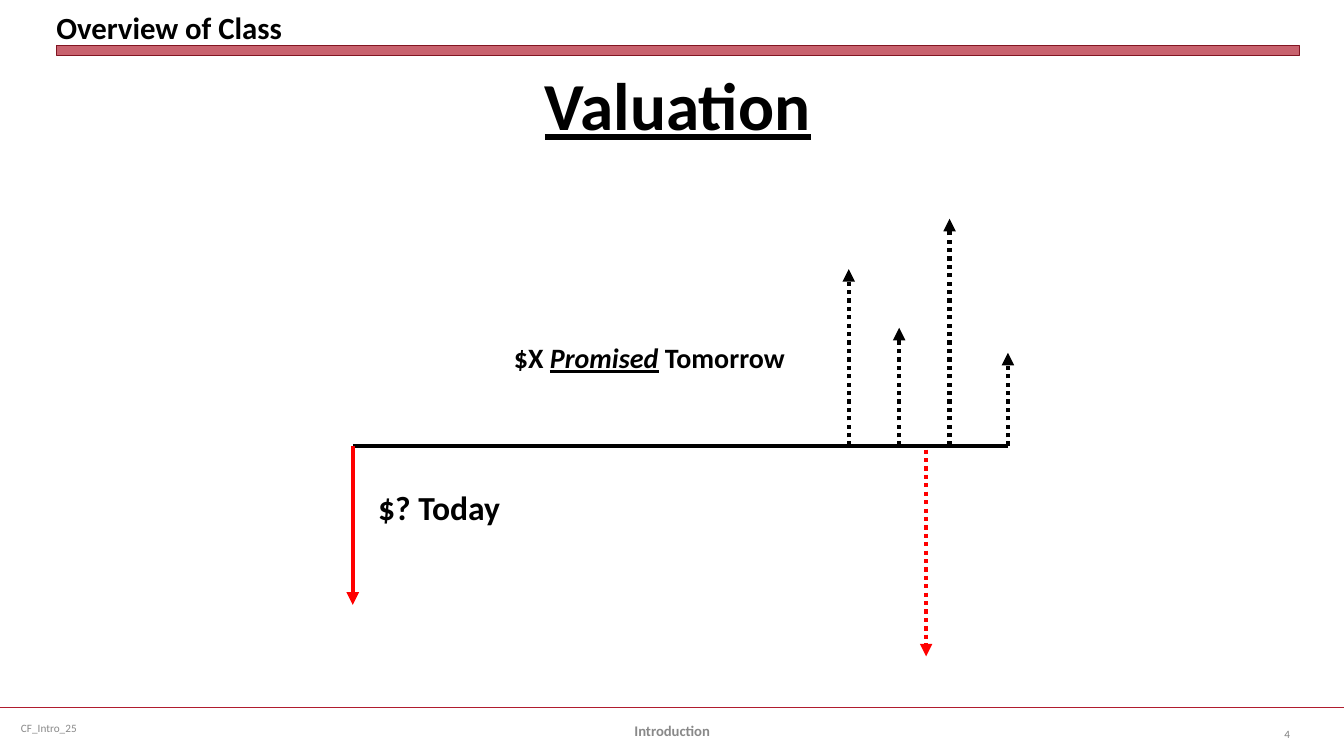
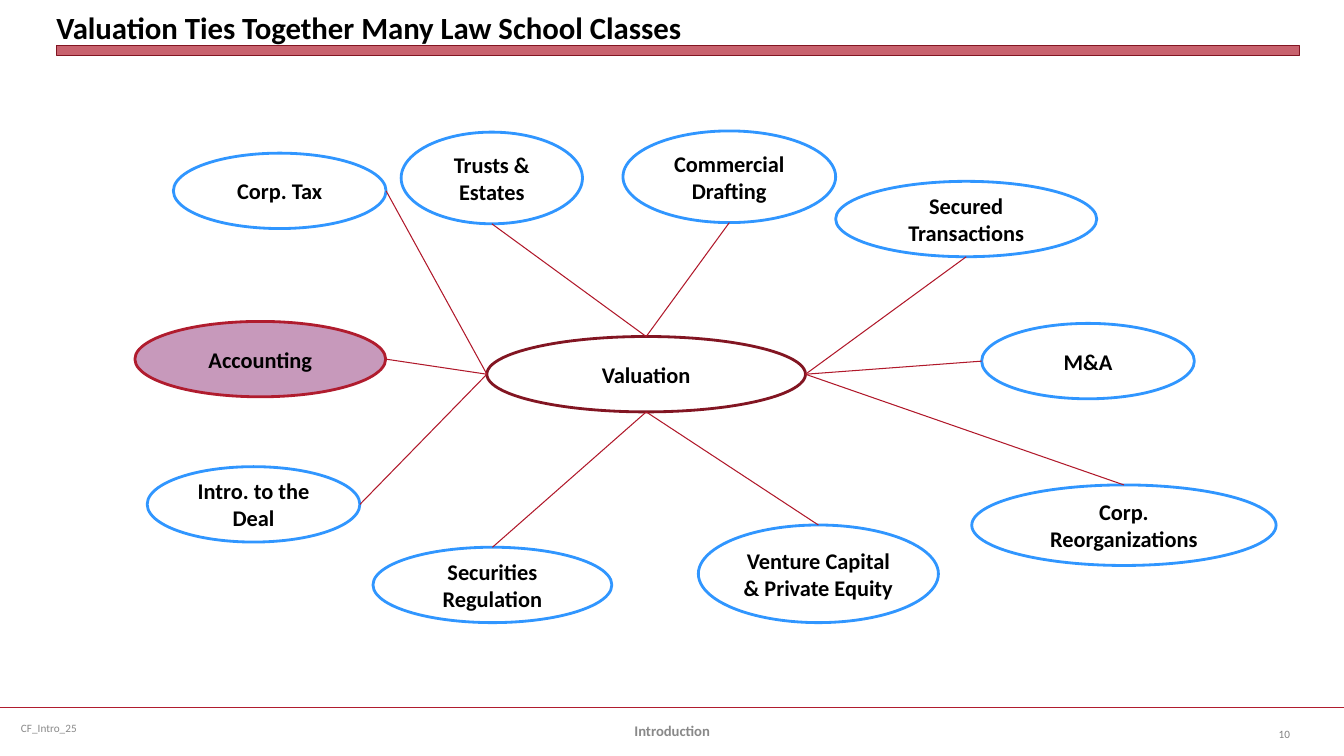
"""Build two lecture slides: a valuation cash-flow timeline and a map of related law school classes."""
import pptx
import pptx.dml.color
import pptx.enum.dml
import pptx.enum.shapes
import pptx.enum.text
import pptx.oxml.ns
import pptx.util
from lxml import etree

Cm, Pt = pptx.util.Cm, pptx.util.Pt
RGB = pptx.dml.color.RGBColor.from_string
ALIGN, ANCHOR = pptx.enum.text.PP_ALIGN, pptx.enum.text.MSO_ANCHOR
SHAPE, STRAIGHT = pptx.enum.shapes.MSO_SHAPE, pptx.enum.shapes.MSO_CONNECTOR.STRAIGHT
DOTTED = pptx.enum.dml.MSO_LINE.ROUND_DOT
qn = pptx.oxml.ns.qn

THEME = {
    "font": "Calibri",
    "colors": {
        "ink": "000000", "crimson": "B01C2E", "maroon": "821522", "outlay": "FF0000",
        "spoke": "B0182A", "course": "3096FF", "highlight": "C799BB",
        "footer": "898989", "number": "808080",
    },
    "band_opacity": 69,
    "lines": {"footer": 1.25, "band": 0, "flow": 3, "spoke": 0.75, "oval": 2},
    "text": {
        "title": {"size": 22, "color": "ink", "bold": True, "align": ALIGN.LEFT,
                  "anchor": ANCHOR.BOTTOM, "margin": 0},
        "heading": {"size": 48, "color": "ink", "bold": True, "underline": True,
                    "align": ALIGN.CENTER, "anchor": ANCHOR.TOP},
        "today": {"size": 24, "color": "ink", "bold": True, "align": ALIGN.LEFT, "anchor": ANCHOR.TOP},
        "promise": {"size": 20, "color": "ink", "bold": True, "align": ALIGN.LEFT, "anchor": ANCHOR.TOP},
        "course": {"size": 16, "color": "ink", "bold": True, "align": ALIGN.CENTER, "anchor": ANCHOR.MIDDLE},
        "version": {"size": 8, "color": "footer", "align": ALIGN.LEFT, "anchor": ANCHOR.MIDDLE},
        "section": {"size": 10.5, "color": "footer", "bold": True, "align": ALIGN.CENTER,
                    "anchor": ANCHOR.MIDDLE},
        "number": {"size": 8, "color": "number", "align": ALIGN.RIGHT, "anchor": ANCHOR.MIDDLE},
    },
}
COLORS = {name: RGB(value) for name, value in THEME["colors"].items()}
WIDTHS = {name: Pt(value) for name, value in THEME["lines"].items()}


def write(shape, text, style_name, emphasis=None):
    """Put text in a shape in a theme style, with an optional emphasised phrase."""
    style = THEME["text"][style_name]
    frame = shape.text_frame
    frame_format = {"word_wrap": True, "vertical_anchor": style["anchor"]}
    if "margin" in style:
        for side in ("left", "right", "top", "bottom"):
            frame_format[f"margin_{side}"] = Cm(style["margin"])
    for name, value in frame_format.items():
        setattr(frame, name, value)
    frame.text = "\n" * text.count("\n")
    for paragraph, line in zip(frame.paragraphs, text.split("\n")):
        paragraph.alignment = style["align"]
        for piece in line.partition(emphasis) if emphasis else [line]:
            run = paragraph.add_run()
            run.text = piece
            font_format = {"name": THEME["font"], "size": Pt(style["size"]),
                           "bold": style.get("bold", False), "underline": style.get("underline", False)}
            if piece == emphasis:
                font_format |= {"italic": True, "underline": True}
            for name, value in font_format.items():
                setattr(run.font, name, value)
            run.font.color.rgb = COLORS[style["color"]]


def draw_line(slide, start, end, color, width, dash=None, arrow=False):
    """Draw a straight line between two points given in centimetres."""
    line = slide.shapes.add_connector(STRAIGHT, *(Cm(value) for value in (*start, *end)))
    line.line.color.rgb = COLORS[color]
    line.line.width = WIDTHS[width]
    if dash:
        line.line.dash_style = dash
    if arrow:
        etree.SubElement(line.line._get_or_add_ln(), qn("a:tailEnd"), type="triangle")
    etree.SubElement(line._element.spPr, qn("a:effectLst"))
    return line


deck = pptx.Presentation()
SLIDE_WIDTH = 33.87
deck.slide_width, deck.slide_height = Cm(SLIDE_WIDTH), Cm(19.05)
MARGIN, CONTENT_WIDTH, FOOTER_TOP, TEXT_ROW = 1.42, 31.32, 17.83, 1.02

slides = []
for title, number in [("Overview of Class", "4"),
                      ("Valuation Ties Together Many Law School Classes", "10")]:
    slide = deck.slides.add_slide(deck.slide_layouts[6])
    draw_line(slide, (0, FOOTER_TOP), (SLIDE_WIDTH, FOOTER_TOP), "crimson", "footer")
    band = slide.shapes.add_shape(SHAPE.RECTANGLE, Cm(MARGIN), Cm(1.14), Cm(CONTENT_WIDTH), Cm(0.25))
    band.shadow.inherit = False
    band.fill.solid()
    band.fill.fore_color.rgb = COLORS["crimson"]
    tint = band._element.spPr.find(f"{qn('a:solidFill')}/{qn('a:srgbClr')}")
    etree.SubElement(tint, qn("a:alpha"), val=str(THEME["band_opacity"] * 1000))
    band.line.color.rgb = COLORS["maroon"]
    band.line.width = WIDTHS["band"]
    for text, style_name, left, top, width in [
        (title, "title", MARGIN, 0.13, CONTENT_WIDTH),
        ("CF_Intro_25", "version", 0.28, FOOTER_TOP, 8.74),
        ("Introduction", "section", 11.58, 17.91, 10.72),
        (number, "number", 31.06, 17.98, 1.7),
    ]:
        write(slide.shapes.add_textbox(Cm(left), Cm(top), Cm(width), Cm(TEXT_ROW)), text, style_name)
    slides.append(slide)
timeline, class_map = slides

TODAY, HORIZON, AXIS = 8.89, 25.4, 11.23
for text, style_name, emphasis, left, top, width, height in [
    ("Valuation", "heading", None, MARGIN, 1.47, CONTENT_WIDTH, 16.15),
    ("$? Today", "today", None, 9.28, 12.14, 3.7, 1.27),
    ("$X Promised Tomorrow", "promise", "Promised", 12.7, 8.46, 9.32, 1.12),
]:
    box = timeline.shapes.add_textbox(Cm(left), Cm(top), Cm(width), Cm(height))
    write(box, text, style_name, emphasis)

draw_line(timeline, (TODAY, AXIS), (HORIZON, AXIS), "ink", "flow")
for moment, base, tip, color, dash in [
    (TODAY, AXIS, 15.24, "outlay", None),
    (21.39, AXIS, 6.78, "ink", DOTTED),
    (22.66, AXIS, 8.26, "ink", DOTTED),
    (23.93, AXIS, 5.51, "ink", DOTTED),
    (HORIZON, AXIS, 8.89, "ink", DOTTED),
    (23.34, 11.33, 16.54, "outlay", DOTTED),
]:
    draw_line(timeline, (moment, base), (moment, tip), color, "flow", dash, arrow=True)

SITES = {"top": (0, 0.5, 0), "left": (2, 0, 0.5), "bottom": (4, 0.5, 1), "right": (6, 1, 0.5)}
LOW, TALL = 1.9, 2.31
HUB = (12.27, 8.48, 8.03, LOW)
hub_id = None
for name, bounds, outline, fill, hub_side, course_side in [
    ("Valuation", HUB, "maroon", None, None, None),
    ("Corp. Tax", (4.37, 3.86, 5.36, LOW), "course", None, "left", "right"),
    ("Trusts & Estates", (10.11, 3.33, 4.57, TALL), "course", None, "top", "bottom"),
    ("Commercial\nDrafting", (15.7, 3.3, 5.36, TALL), "course", None, "top", "bottom"),
    ("Secured Transactions", (21.06, 4.57, 6.58, LOW), "course", None, "right", "bottom"),
    ("M&A", (24.74, 8.15, 5.36, LOW), "course", None, "right", "left"),
    ("Corp. Reorganizations", (24.49, 12.22, 7.67, 2.03), "course", None, "right", "top"),
    ("Venture Capital & Private Equity", (17.6, 13.23, 6.05, 2.46), "course", None, "bottom", "top"),
    ("Securities Regulation", (9.4, 13.79, 6.02, LOW), "course", None, "bottom", "top"),
    ("Intro. to the Deal", (3.71, 11.76, 5.36, LOW), "course", None, "left", "right"),
    ("Accounting", (3.4, 8.1, 6.32, LOW), "crimson", "highlight", "left", "right"),
]:
    course = class_map.shapes.add_shape(SHAPE.OVAL, *(Cm(value) for value in bounds))
    course.shadow.inherit = False
    if fill:
        course.fill.solid()
        course.fill.fore_color.rgb = COLORS[fill]
    else:
        course.fill.background()
    course.line.color.rgb = COLORS[outline]
    course.line.width = WIDTHS["oval"]
    write(course, name, "course")
    if hub_side is None:
        hub_id = course.shape_id
        continue
    ends = []
    for (left, top, width, height), side in [(HUB, hub_side), (bounds, course_side)]:
        _, across, down = SITES[side]
        ends.append((left + across * width, top + down * height))
    spoke = draw_line(class_map, *ends, "spoke", "spoke")
    joints = spoke._element.find(f".//{qn('p:cNvCxnSpPr')}")
    for tag, oval_id, side in [("a:stCxn", hub_id, hub_side), ("a:endCxn", course.shape_id, course_side)]:
        etree.SubElement(joints, qn(tag), id=str(oval_id), idx=str(SITES[side][0]))

deck.save("out.pptx")
